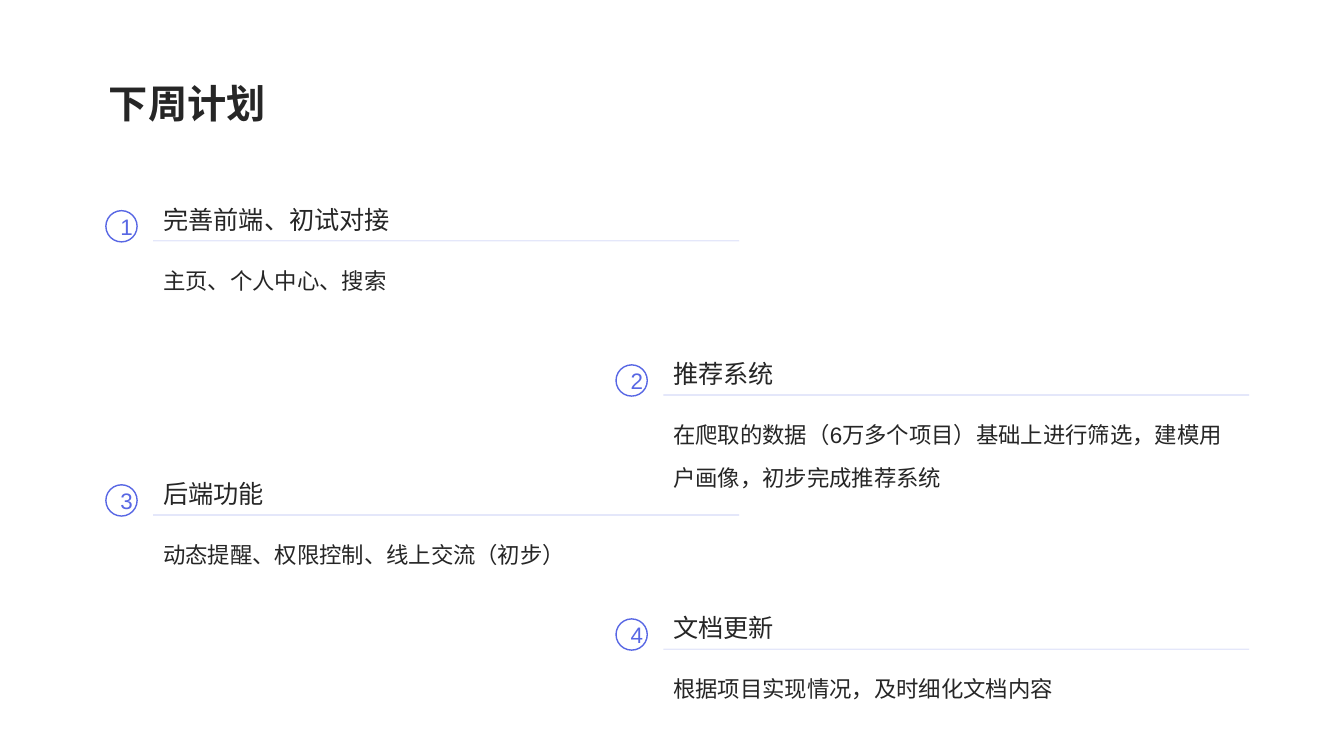
from lxml import etree
from pptx import Presentation
from pptx.dml.color import RGBColor
from pptx.enum import shapes, text
from pptx.oxml.ns import qn
from pptx.util import Inches, Pt

INK, ACCENT = "262626", "5867E4"


def rgb(value):
    return RGBColor.from_string(value)


def write(sp, content, size, color, spacing=1.0, bold=False,
          align=text.PP_ALIGN.LEFT, anchor=text.MSO_ANCHOR.TOP):
    tf = sp.text_frame
    tf.word_wrap = True
    tf.auto_size = text.MSO_AUTO_SIZE.NONE
    tf.vertical_anchor = anchor
    p = tf.paragraphs[0]
    p.alignment = align
    p.line_spacing = spacing
    r = p.add_run()
    r.text = content
    r.font.name = "Arial"
    r.font.size = Pt(size)
    r.font.bold = bold
    r.font.color.rgb = rgb(color)


prs = Presentation()
prs.slide_width, prs.slide_height = Inches(13.33), Inches(7.5)
s = prs.slides.add_slide(prs.slide_layouts[5])

title = s.shapes.title
title.left, title.top = Inches(0.98), Inches(0.64)
title.width, title.height = Inches(11.41), Inches(0.87)
write(title, "下周计划", 28, INK, 1.2, bold=True)

# Left edge, rule height, heading, detail
plans = [
    (1.52, 2.39, "完善前端、初试对接", "主页、个人中心、搜索"),
    (6.58, 3.92, "推荐系统",
     "在爬取的数据（6万多个项目）基础上进行筛选，建模用户画像，初步完成推荐系统"),
    (1.52, 5.11, "后端功能", "动态提醒、权限控制、线上交流（初步）"),
    (6.58, 6.44, "文档更新", "根据项目实现情况，及时细化文档内容"),
]
width = 5.81

for number, (x, y, heading, detail) in enumerate(plans, 1):
    rule = s.shapes.add_connector(shapes.MSO_CONNECTOR.STRAIGHT, Inches(x),
                                  Inches(y), Inches(x + width), Inches(y))
    rule.line.color.rgb = rgb(ACCENT)
    rule.line.width = Pt(0.5)
    color = rule._element.spPr.find(".//" + qn("a:srgbClr"))
    etree.SubElement(color, qn("a:alpha")).set("val", "44000")
    etree.SubElement(rule._element.spPr, qn("a:effectLst"))

    box = s.shapes.add_textbox(Inches(x), Inches(y - 0.44), Inches(width), Inches(0.45))
    write(box, heading, 18, INK, 1.1)
    box = s.shapes.add_textbox(Inches(x), Inches(y + 0.05), Inches(width), Inches(0.59))
    write(box, detail, 16, INK, 1.6)

    badge = s.shapes.add_shape(shapes.MSO_SHAPE.OVAL, Inches(x - 0.47),
                               Inches(y - 0.3), Inches(0.31), Inches(0.31))
    badge.shadow.inherit = False
    badge.fill.background()
    badge.line.color.rgb = rgb(ACCENT)
    badge.line.width = Pt(1)
    write(badge, str(number), 16, ACCENT, align=text.PP_ALIGN.CENTER,
          anchor=text.MSO_ANCHOR.MIDDLE)

prs.save("out.pptx")
